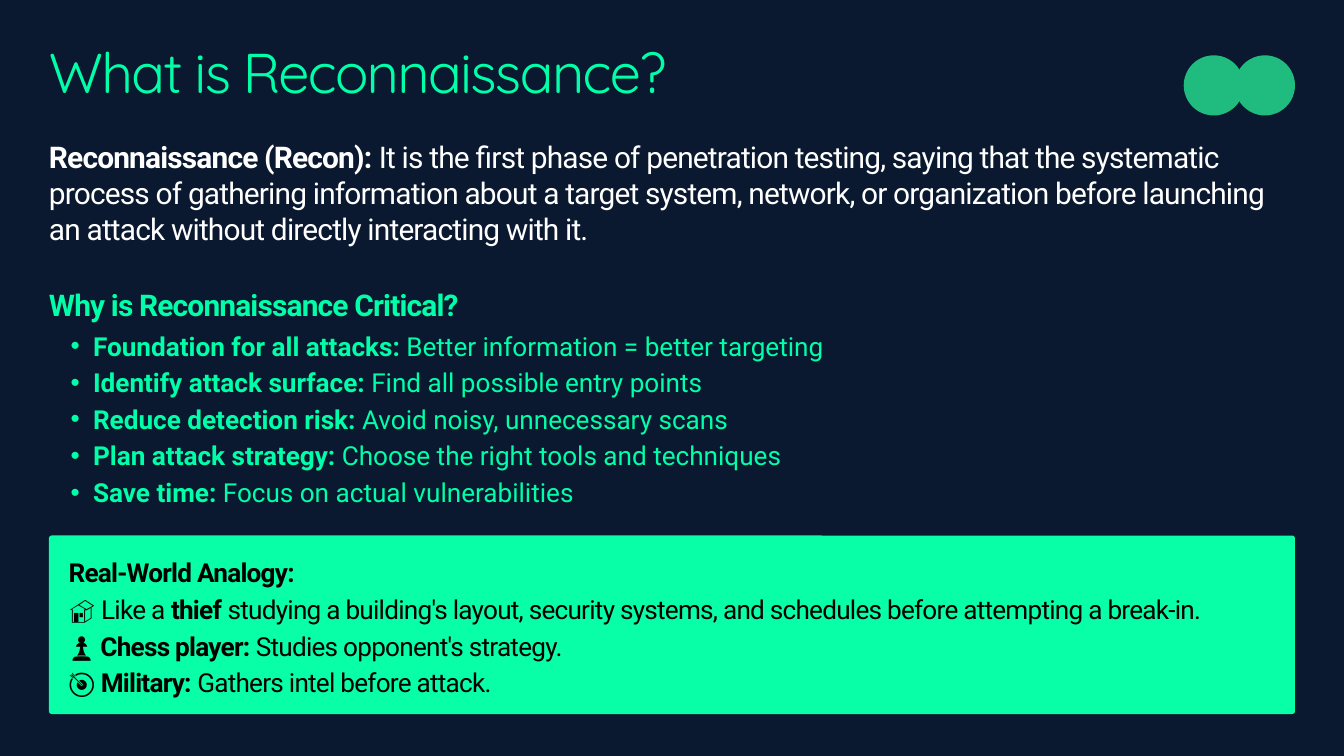
from dataclasses import dataclass
from lxml.etree import SubElement
from pptx import Presentation
from pptx.dml.color import RGBColor as Rgb
from pptx.enum.shapes import MSO_SHAPE as Kind
from pptx.enum.text import MSO_ANCHOR as Anchor, MSO_AUTO_SIZE as Auto, PP_ALIGN as Align
from pptx.oxml.ns import qn
from pptx.util import Pt

PX = 9525  # EMU in one px, 96 px to the inch
COLORS = {"navy": "0A192F", "mint": "00FFA8", "panel": "08FFA7",
          "dot": "1FBB7F", "white": "FFFFFF", "black": "000000"}
LEFT, WIDE = 70, 1780
RIGHT = LEFT + WIDE


@dataclass
class Box:
    x: int
    y: int
    w: int
    h: int

    def emu(self) -> list[int]:
        return [n * PX for n in (self.x, self.y, self.w, self.h)]


@dataclass
class Style:
    size: int
    color: str
    lead: float
    track: int = 0  # hundredths of a point
    face: str = "Roboto"


Line = list[tuple[str, bool]]  # runs: text, bold

INTRO: Line = [
    ("Reconnaissance (Recon): ", True),
    ("It is the first phase of penetration testing, saying that the systematic process of "
     "gathering information about a target system, network, or organization before launching "
     "an attack without directly interacting with it.", False)]
REASONS = [
    ("Foundation for all attacks: ", "Better information = better targeting"),
    ("Identify attack surface: ", "Find all possible entry points"),
    ("Reduce detection risk: ", "Avoid noisy, unnecessary scans"),
    ("Plan attack strategy: ", "Choose the right tools and techniques"),
    ("Save time: ", "Focus on actual vulnerabilities")]
ANALOGY: list[Line] = [
    [("Real-World Analogy:", True)],
    [("🏠 ", True), ("Like a ", False), ("thief", True),
     (" studying a building's layout, security systems, and schedules "
      "before attempting a break-in.", False)],
    [("♟️ ", False), ("Chess player:", True), (" Studies opponent's strategy.", False)],
    [("🎯 ", False), ("Military:", True), (" Gathers intel before attack.", False)]]


def rgb(name: str) -> Rgb:
    return Rgb.from_string(COLORS[name])


def add_bullet(para) -> None:
    para.level = 1
    props = para._p.get_or_add_pPr()
    props.set("marL", str(63 * PX))
    props.set("indent", str(-32 * PX))
    SubElement(props, qn("a:buFont")).set("typeface", "Arial")
    SubElement(props, qn("a:buChar")).set("char", "•")


def write(shape, lines: list[Line], style: Style, pad: int = 0,
          anchor=Anchor.TOP, bullets: bool = False) -> None:
    frame = shape.text_frame
    frame.word_wrap, frame.auto_size = True, Auto.NONE
    frame.vertical_anchor = anchor
    frame.margin_left = frame.margin_right = pad * PX
    frame.margin_top = frame.margin_bottom = pad * PX
    for i, line in enumerate(lines):
        para = frame.add_paragraph() if i else frame.paragraphs[0]
        if bullets:
            add_bullet(para)
        para.alignment = Align.LEFT
        para.line_spacing = Pt(style.lead)
        for text, bold in line:
            run = para.add_run()
            run.text = text
            font = run.font
            font.name, font.size, font.bold = style.face, Pt(style.size), bold
            font.color.rgb = rgb(style.color)
            if style.track:
                run._r.get_or_add_rPr().set("spc", str(style.track))


def add_block(slide, box: Box, color: str, kind):
    shape = slide.shapes.add_shape(kind, *box.emu())
    shape.shadow.inherit = False
    shape.fill.solid()
    shape.fill.fore_color.rgb = rgb(color)
    shape.line.fill.background()
    return shape


def main() -> None:
    deck = Presentation()
    deck.slide_width, deck.slide_height = 1920 * PX, 1080 * PX
    slide = deck.slides.add_slide(deck.slide_layouts[5])
    slide.background.fill.solid()
    slide.background.fill.fore_color.rgb = rgb("navy")

    title = slide.shapes.title
    title.left, title.top, title.width, title.height = Box(LEFT, 69, 1460, 97).emu()
    write(title, [[("What is Reconnaissance?", False)]],
          Style(60, "mint", 60, -180, "Quicksand"))

    intro = slide.shapes.add_textbox(*Box(LEFT, 198, WIDE, 153).emu())
    write(intro, [INTRO], Style(32, "white", 38.4, -90))

    head = slide.shapes.add_textbox(*Box(LEFT, 376, 1212, 70).emu())
    write(head, [[("Why is Reconnaissance Critical?", True)]], Style(32, "mint", 64, -90))

    reasons = slide.shapes.add_textbox(*Box(LEFT, 464, 1212, 257).emu())
    write(reasons, [[(name, True), (why, False)] for name, why in REASONS],
          Style(28, "mint", 39.2), bullets=True)

    panel = add_block(slide, Box(LEFT, 765, WIDE, 255), "panel", Kind.ROUNDED_RECTANGLE)
    panel.adjustments[0] = 4 / 255
    write(panel, ANALOGY, Style(28, "black", 39.2, -80), pad=27, anchor=Anchor.MIDDLE)

    dot, step = 86, 73
    for i in (1, 0):
        add_block(slide, Box(RIGHT - dot - i * step, 79, dot, dot), "dot", Kind.OVAL)

    deck.save("out.pptx")


if __name__ == "__main__":
    main()
